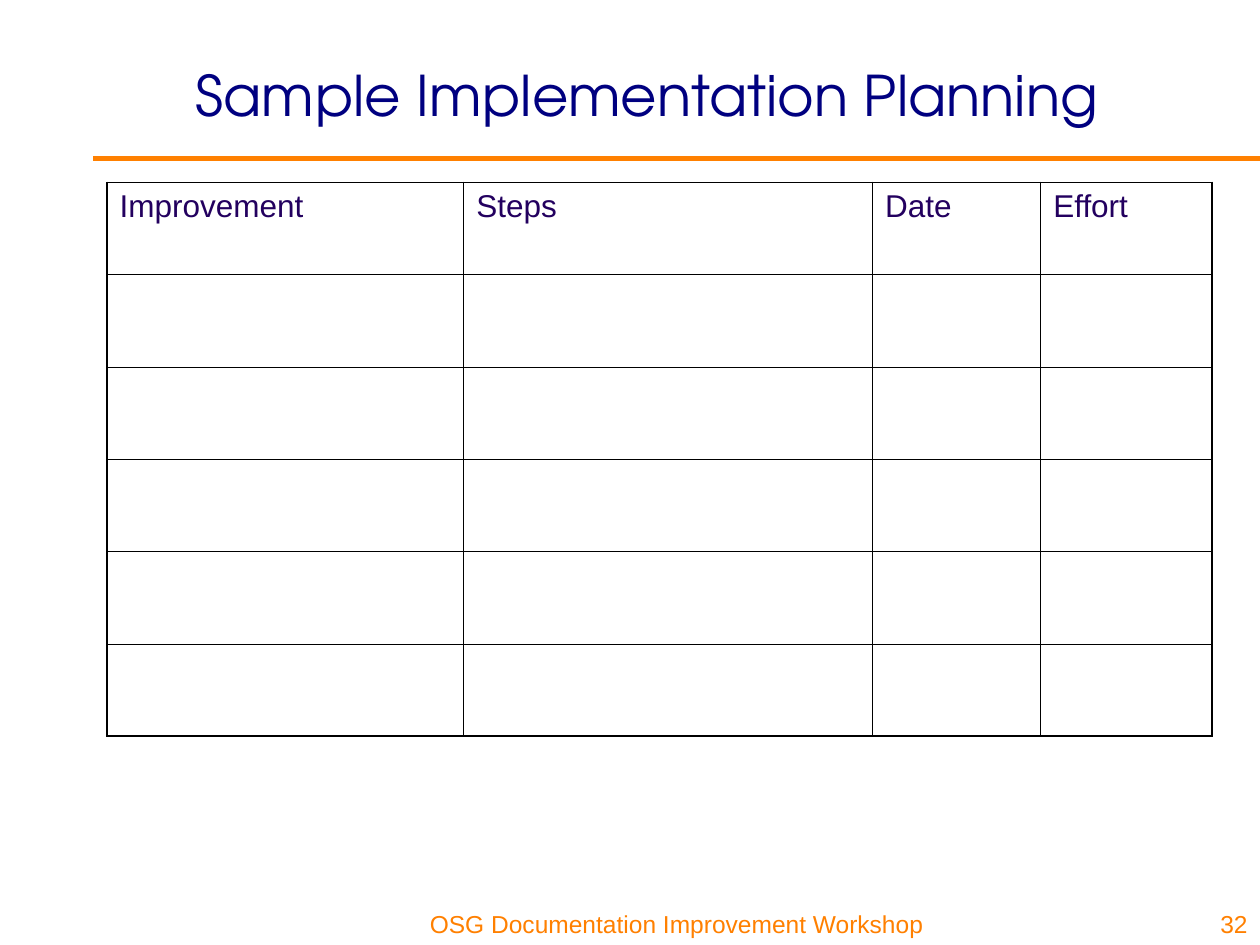
from dataclasses import dataclass

from lxml.etree import SubElement
from pptx import Presentation
from pptx.dml.color import RGBColor
from pptx.enum.shapes import MSO_CONNECTOR
from pptx.enum.text import MSO_ANCHOR, PP_ALIGN
from pptx.oxml import parse_xml
from pptx.oxml.ns import nsdecls, qn
from pptx.slide import Slide
from pptx.util import Cm, Pt

NAVY = RGBColor(0x00, 0x00, 0x80)
ORANGE = RGBColor(0xFF, 0x80, 0x00)
INDIGO = RGBColor(0x23, 0x00, 0x5F)
BLACK = RGBColor(0x00, 0x00, 0x00)

HEADINGS = ["Improvement", "Steps", "Date", "Effort"]
COLUMN_WIDTHS = [7.19, 8.24, 3.39, 3.45]
ROW_COUNT = 6
ROW_HEIGHT = 1.86


@dataclass
class PlanningSlide:
    """Draws the elements of one page in a shared style."""

    page: Slide
    title_font: str = "TeX Gyre Adventor"
    body_font: str = "Arial"
    outer_border: float = 1.08
    inner_border: float = 0.45

    def add_text(self, frame, text, size, color, font, align=PP_ALIGN.LEFT):
        para = frame.paragraphs[0]
        para.alignment = align
        span = para.add_run()
        span.text = text
        span.font.size = Pt(size)
        span.font.name = font
        span.font.bold = False
        span.font.color.rgb = color

    def title(self, text, left, top, width, height):
        box = self.page.shapes.title
        box.left, box.top, box.width, box.height = Cm(left), Cm(top), Cm(width), Cm(height)
        box.text_frame.vertical_anchor = MSO_ANCHOR.MIDDLE
        self.add_text(box.text_frame, text, 32, NAVY, self.title_font, PP_ALIGN.CENTER)

    def footer(self, text, left, width):
        box = self.page.shapes.add_textbox(Cm(left), Cm(17.78), Cm(width), Cm(1.27))
        box.text_frame.word_wrap = True
        box.text_frame.vertical_anchor = MSO_ANCHOR.BOTTOM
        self.add_text(box.text_frame, text, 14, ORANGE, self.body_font, PP_ALIGN.RIGHT)

    def rule(self, left, right, top):
        line = self.page.shapes.add_connector(
            MSO_CONNECTOR.STRAIGHT, Cm(left), Cm(top), Cm(right), Cm(top))
        line.line.color.rgb = ORANGE
        line.line.width = Pt(3)
        SubElement(line._element.spPr, qn("a:effectLst"))

    def borders(self, cell, outer_sides):
        properties = cell._tc.get_or_add_tcPr()
        for index, (side, is_outer) in enumerate(outer_sides.items()):
            width = Pt(self.outer_border if is_outer else self.inner_border)
            properties.insert(index, parse_xml(
                f'<a:ln{side} {nsdecls("a")} w="{width}"><a:solidFill>'
                f'<a:srgbClr val="{BLACK}"/></a:solidFill></a:ln{side}>'))

    def table(self, headings, widths, row_count, row_height, left, top):
        last_row, last_column = row_count - 1, len(widths) - 1
        grid = self.page.shapes.add_table(
            row_count, len(widths), Cm(left), Cm(top),
            Cm(sum(widths)), Cm(row_count * row_height)).table
        grid.first_row = grid.horz_banding = False
        for column, width in zip(grid.columns, widths):
            column.width = Cm(width)
        for row_index, row in enumerate(grid.rows):
            for column_index, cell in enumerate(row.cells):
                cell.fill.background()
                self.borders(cell, {
                    "L": column_index == 0, "R": column_index == last_column,
                    "T": row_index == 0, "B": row_index == last_row})
        for cell, heading in zip(grid.rows[0].cells, headings):
            self.add_text(cell.text_frame, heading, 18, INDIGO, self.body_font)


def main():
    deck = Presentation()
    deck.slide_width, deck.slide_height = Cm(25.4), Cm(19.05)
    slide = PlanningSlide(deck.slides.add_slide(deck.slide_layouts[5]))
    slide.rule(1.88, 25.4, 3.2)
    slide.footer("OSG Documentation Improvement Workshop", 7.92, 10.95)
    slide.title("Sample Implementation Planning", 3.4, 0.3, 19.3, 3.18)
    slide.table(HEADINGS, COLUMN_WIDTHS, ROW_COUNT, ROW_HEIGHT, 2.16, 3.68)
    slide.footer("32", 24.23, 1.17)
    deck.save("out.pptx")


if __name__ == "__main__":
    main()
